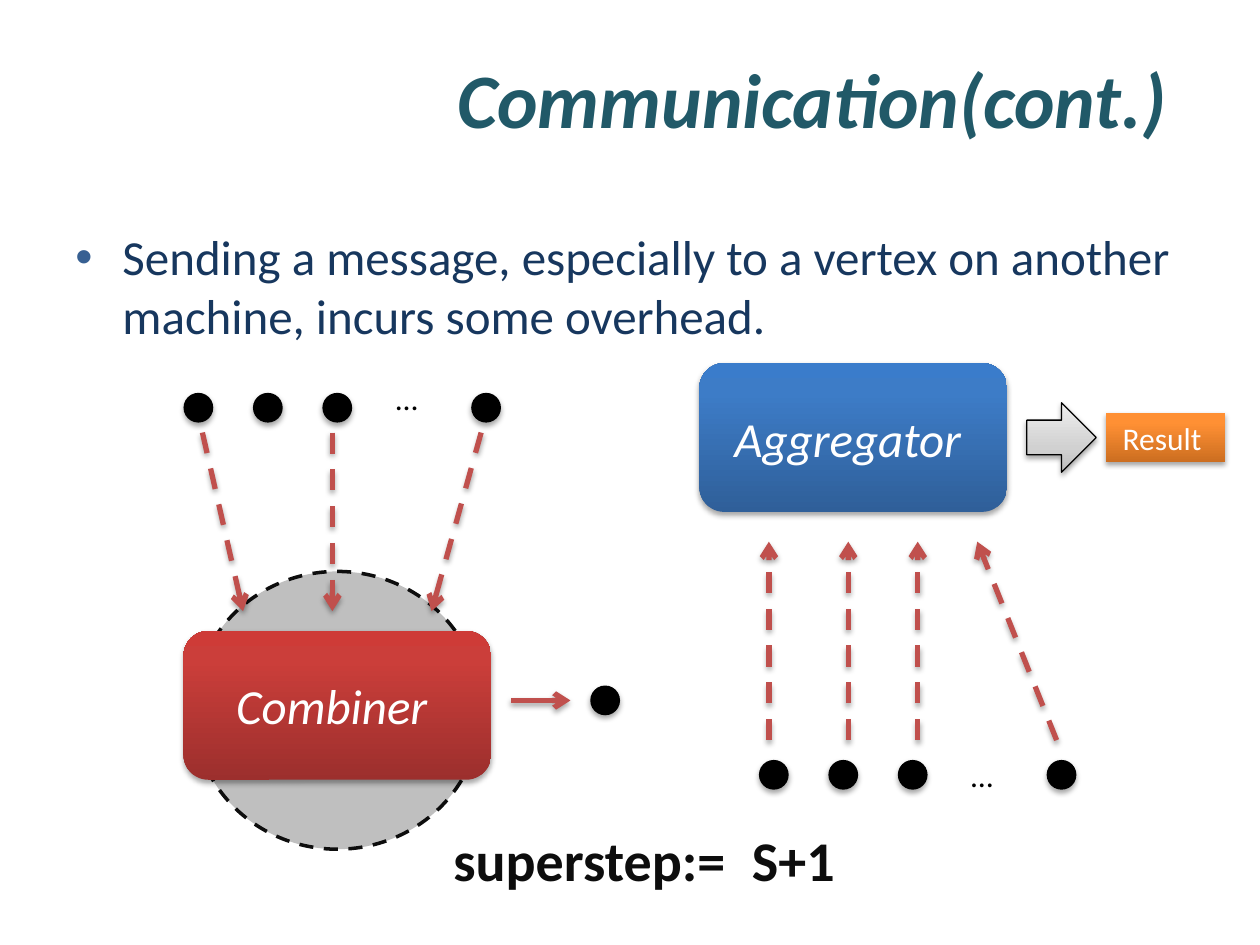
import copy

import lxml.etree
import pptx
import pptx.dml.color
import pptx.enum.dml
import pptx.enum.shapes
import pptx.enum.text
import pptx.oxml.ns
import pptx.util

Cm = pptx.util.Cm
Pt = pptx.util.Pt
RGBColor = pptx.dml.color.RGBColor
Kind = pptx.enum.shapes.MSO_SHAPE
Dash = pptx.enum.dml.MSO_LINE
Align = pptx.enum.text.PP_ALIGN
Anchor = pptx.enum.text.MSO_ANCHOR
Fit = pptx.enum.text.MSO_AUTO_SIZE
qn = pptx.oxml.ns.qn

TEAL = RGBColor(0x21, 0x59, 0x68)
NAVY = RGBColor(0x17, 0x37, 0x5E)
STEEL = RGBColor(0x37, 0x60, 0x92)
WHITE = RGBColor(0xFF, 0xFF, 0xFF)
BLACK = RGBColor(0x00, 0x00, 0x00)
INK = RGBColor(0x0D, 0x0D, 0x0D)
GRAY = RGBColor(0xBF, 0xBF, 0xBF)
EDGE = RGBColor(0x7D, 0x7D, 0x7D)
RED = RGBColor(0xC0, 0x50, 0x4D)
BLUES = [(0, RGBColor(0x2F, 0x5F, 0x99)), (0.8, RGBColor(0x3D, 0x7C, 0xC7)),
         (1, RGBColor(0x3A, 0x7C, 0xCB))]
REDS = [(0, RGBColor(0x9C, 0x2F, 0x2D)), (0.8, RGBColor(0xCB, 0x3E, 0x3A)),
        (1, RGBColor(0xCE, 0x3B, 0x37))]
GOLDS = [(0, RGBColor(0xCC, 0x6E, 0x20)), (0.8, RGBColor(0xFF, 0x90, 0x34)),
         (1, RGBColor(0xFF, 0x91, 0x36))]
GRAYS = [(0, RGBColor(0xBD, 0xBD, 0xBD)), (0.35, RGBColor(0xD1, 0xD1, 0xD1)),
         (1, RGBColor(0xEE, 0xEE, 0xEE))]


def add(node, tag, **attrs):
    """Append a child element and return it."""
    return lxml.etree.SubElement(node, qn(tag), **attrs)


def shade(shape):
    """Give a shape or line a soft shadow below it."""
    glow = add(add(shape._element.spPr, "a:effectLst"), "a:outerShdw", blurRad="39400",
               dist="22900", dir="5400000", rotWithShape="0")
    add(add(glow, "a:srgbClr", val=str(BLACK)), "a:alpha", val="35000")


def write(frame, text, size, color, align=Align.LEFT, bold=False, italic=False):
    """Set one styled paragraph and return it."""
    frame.text = text
    para = frame.paragraphs[0]
    para.alignment = align
    font = para.runs[0].font
    font.name, font.size, font.color.rgb = "Calibri", Pt(size), color
    font.bold, font.italic = bold, italic
    return para


def label(slide, x, y, w, h, fixed=False):
    """Add a text box and return its frame."""
    frame = slide.shapes.add_textbox(Cm(x), Cm(y), Cm(w), Cm(h)).text_frame
    frame.word_wrap = fixed
    frame.auto_size = Fit.NONE if fixed else Fit.SHAPE_TO_FIT_TEXT
    return frame


def form(slide, kind, x, y, w, h, fill, line=None, width=1, dash=None, cast=True):
    """Add a preset shape with a solid or graded fill."""
    shape = slide.shapes.add_shape(kind, Cm(x), Cm(y), Cm(w), Cm(h))
    if isinstance(fill, list):
        shape.fill.gradient()
        shape.fill.gradient_angle = 90
        stops = shape._element.spPr.find(".//" + qn("a:gsLst"))
        stops.append(copy.deepcopy(stops[-1]))
        for stop, (place, color) in zip(shape.fill.gradient_stops, fill):
            stop.position, stop.color.rgb = place, color
    else:
        shape.fill.solid()
        shape.fill.fore_color.rgb = fill
    if line is None:
        shape.line.fill.background()
    else:
        shape.line.color.rgb, shape.line.width = line, Pt(width)
        shape.line.dash_style = dash
    if cast:
        shade(shape)
    else:
        shape.shadow.inherit = False
    return shape


def card(slide, kind, x, y, w, h, fill, text, size, italic):
    """Add a graded block with a centred caption."""
    frame = form(slide, kind, x, y, w, h, fill).text_frame
    frame.vertical_anchor = Anchor.MIDDLE
    write(frame, text, size, WHITE, Align.CENTER, italic=italic)


def arrow(slide, x1, y1, x2, y2, dash=Dash.DASH):
    """Draw a red arrow between two points."""
    link = slide.shapes.add_connector(pptx.enum.shapes.MSO_CONNECTOR.STRAIGHT,
                                      Cm(x1), Cm(y1), Cm(x2), Cm(y2))
    link.line.color.rgb, link.line.width = RED, Pt(3)
    link.line.dash_style = dash
    add(link.line._get_or_add_ln(), "a:tailEnd", type="arrow")
    shade(link)


def dot(slide, x, y):
    """Add one vertex."""
    form(slide, Kind.OVAL, x, y, 0.6, 0.6, BLACK)


def row(slide, x, y, rise):
    """Add a row of vertices with an ellipsis before the last."""
    for step in (0, 1.4, 2.8, 5.8):
        dot(slide, x + step, y)
    write(label(slide, x + 4.03, y - rise, 0.97, 1.02), "…", 18, BLACK)


def title(slide, x, y, w, h):
    """Place the heading."""
    frame = label(slide, x, y, w, h, True)
    frame.vertical_anchor = Anchor.MIDDLE
    write(frame, "Communication(cont.) ", 44, TEAL, Align.RIGHT, True, True)


def body(slide, x, y, w, h):
    """Place the bulleted statement."""
    para = write(label(slide, x, y, w, h, True),
                 "Sending a message, especially to a vertex on another machine, "
                 "incurs some overhead.", 28, NAVY)
    props = para._p.get_or_add_pPr()
    props.set("marL", str(Cm(0.95)))
    props.set("indent", str(-Cm(0.95)))
    add(add(props, "a:buClr"), "a:srgbClr", val=str(STEEL))
    add(props, "a:buFont", typeface="Arial")
    add(props, "a:buChar", char="•")


def merge(slide, x, y, w, h):
    """Draw the combiner with its inputs and output."""
    form(slide, Kind.OVAL, x + 0.2, y + 3.6, 5.8, 5.6, GRAY, INK, 2, Dash.DASH, False)
    card(slide, Kind.ROUNDED_RECTANGLE, x, y + 4.8, w, h, REDS, "Combiner ", 28, True)
    row(slide, x, y, 0.4)
    for start, end in ((0.38, 1.2), (3, 3), (6, 5)):
        arrow(slide, x + start, y + 0.8, x + end, y + 4.4)
    arrow(slide, x + 6.6, y + 6.2, x + 7.8, y + 6.2, None)
    dot(slide, x + 8.2, y + 5.9)


def gather(slide, x, y, w, h):
    """Draw the aggregator with its inputs and result."""
    card(slide, Kind.ROUNDED_RECTANGLE, x, y, w, h, BLUES, "Aggregator ", 28, True)
    row(slide, x + 1.2, y + 8, 0.2)
    for start, end in ((1.4, 1.4), (3, 3), (4.4, 4.4), (7.2, 5.6)):
        arrow(slide, x + start, y + 7.6, x + end, y + 3.6)
    form(slide, Kind.RIGHT_ARROW, x + 6.6, y + 0.8, 1.4, 1.4, GRAYS, BLACK, 0.75)
    card(slide, Kind.RECTANGLE, x + 8.2, y + 1, 2.4, 1, GOLDS, "Result ", 18, False)


def phase(slide, x, y, w, h):
    """Place the superstep assignment."""
    for text, left, width in (("superstep:=", 0, 6.04), ("S+1", 6.02, w - 6.02)):
        para = write(label(slide, x + left, y, width, h), text, 32, INK, bold=True)
        props = para.runs[0].font._element
        edge = add(props, "a:ln", w=str(Pt(0.83)))
        add(add(edge, "a:solidFill"), "a:srgbClr", val=str(EDGE))
        props.insert(0, edge)


def main():
    """Build and save the slide."""
    deck = pptx.Presentation()
    deck.slide_width, deck.slide_height = Cm(25.4), Cm(19.05)
    slide = deck.slides.add_slide(deck.slide_layouts[6])
    title(slide, 1.27, 0.76, 22.86, 2.41)
    body(slide, 1.27, 4.45, 22.86, 12.57)
    merge(slide, 3.7, 7.92, 6.2, 3)
    gather(slide, 14.1, 7.32, 6.2, 3)
    phase(slide, 8.89, 16.51, 8.23, 1.63)
    deck.save("out.pptx")


if __name__ == "__main__":
    main()
